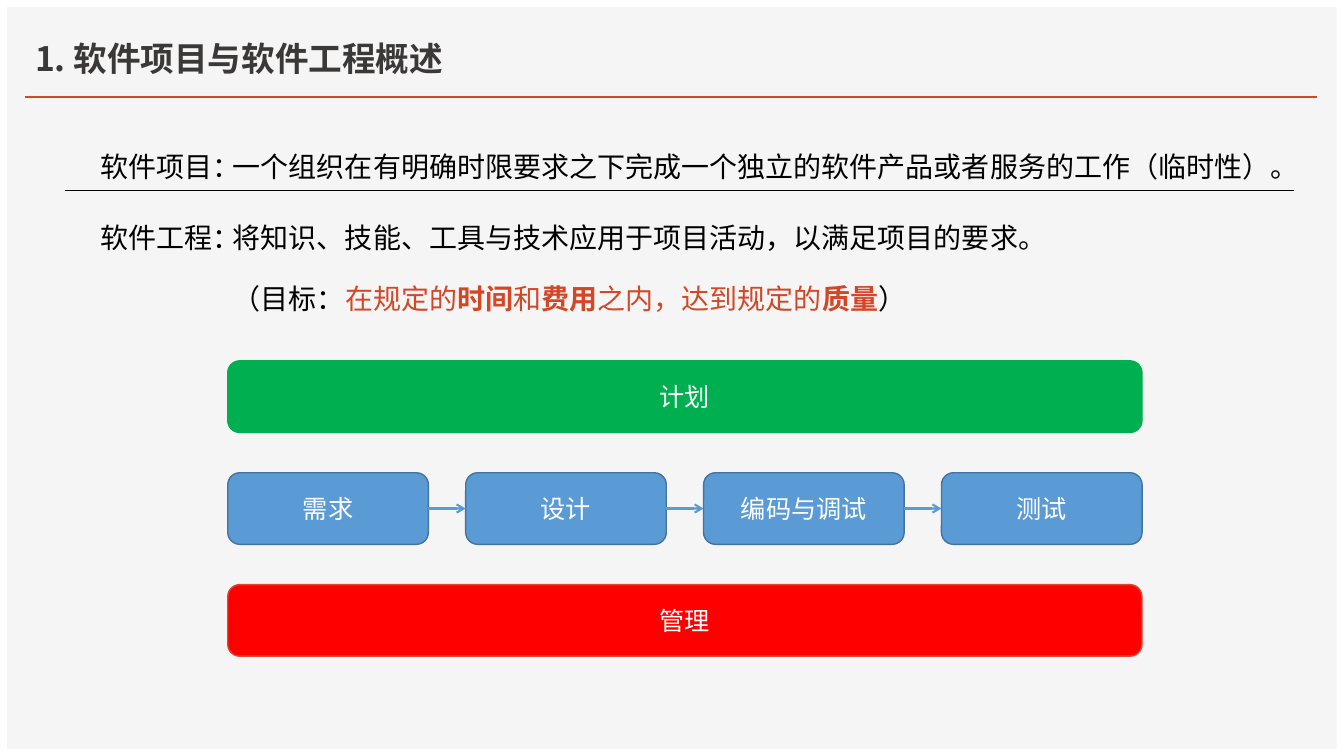
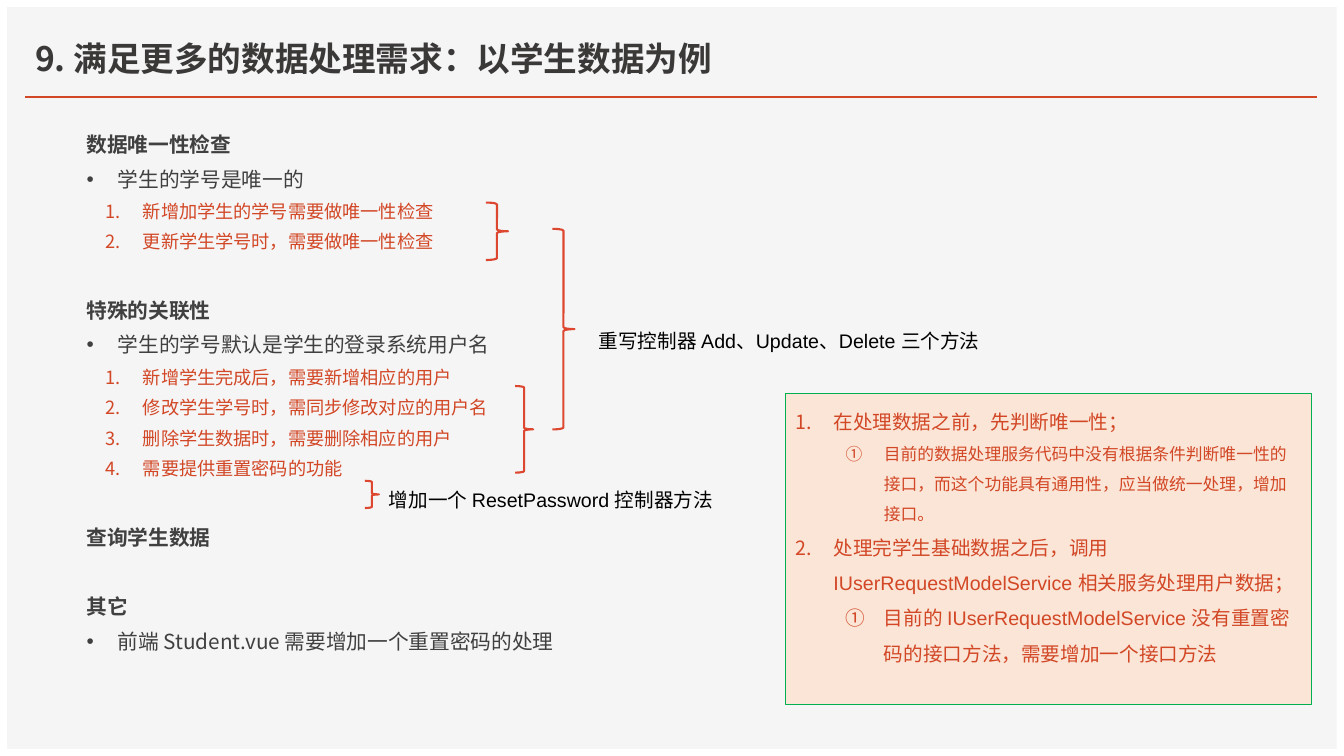
from dataclasses import dataclass

from lxml import etree
from pptx import Presentation
from pptx.dml.color import RGBColor
from pptx.enum.lang import MSO_LANGUAGE_ID
from pptx.enum.shapes import MSO_CONNECTOR, MSO_SHAPE
from pptx.enum.text import MSO_ANCHOR, PP_ALIGN
from pptx.oxml.ns import qn
from pptx.util import Inches, Pt

RECT = MSO_SHAPE.RECTANGLE
ROUNDED = MSO_SHAPE.ROUNDED_RECTANGLE
BRACE = MSO_SHAPE.RIGHT_BRACE
STRAIGHT = MSO_CONNECTOR.STRAIGHT
TOP, MIDDLE, BOTTOM = MSO_ANCHOR.TOP, MSO_ANCHOR.MIDDLE, MSO_ANCHOR.BOTTOM
LEFT, CENTER, RIGHT = PP_ALIGN.LEFT, PP_ALIGN.CENTER, PP_ALIGN.RIGHT
CHINESE = MSO_LANGUAGE_ID.SIMPLIFIED_CHINESE


@dataclass(frozen=True)
class Theme:
    panel: str = "F5F5F5"
    accent: str = "D24726"
    title: str = "3B3838"
    body: str = "404040"
    text: str = "000000"
    light: str = "FFFFFF"
    step: str = "5B9BD5"
    step_edge: str = "43739E"
    plan: str = "00B050"
    manage: str = "FF0000"
    brace: str = "DD462F"
    callout: str = "FBE5D6"
    cjk_font: str = "Noto Sans CJK SC"
    note_font: str = "Arial"
    step_font: str = "Roboto"
    title_size: float = 24
    table_size: float = 20
    step_size: float = 18
    body_size: float = 14.8
    item_size: float = 13
    note_size: float = 14
    detail_size: float = 12


THEME = Theme()

BODY = dict(size=THEME.body_size, color=THEME.body, font=THEME.cjk_font)
HEADING = BODY | dict(bold=True)
ITEM = BODY | dict(size=THEME.item_size, color=THEME.accent)
NOTE = dict(size=THEME.note_size, color=THEME.text, font=THEME.note_font)
POINT = NOTE | dict(color=THEME.accent)
DETAIL = POINT | dict(size=THEME.detail_size)
CELL = NOTE | dict(size=THEME.table_size)
STEP = dict(size=THEME.step_size, color=THEME.light, font=THEME.step_font)
TITLE = dict(size=THEME.title_size, color=THEME.title, font=THEME.cjk_font, bold=True)

DOT = ("buChar", {"char": "•"})
NUMBER = ("buAutoNum", {"type": "arabicPeriod"})
CIRCLE = ("buAutoNum", {"type": "circleNumDbPlain"})

HEADING_LAYOUT = dict(line_spacing=1.4)
NEXT_HEADING_LAYOUT = HEADING_LAYOUT | dict(space_before=Pt(25))
DOT_LAYOUT = HEADING_LAYOUT | dict(bullet=DOT, margin=0.31, hanging=0.31)
ITEM_LAYOUT = HEADING_LAYOUT | dict(level=1, bullet=NUMBER, margin=0.56, hanging=0.37)
NOTE_LAYOUT = dict(line_spacing=1.5)
POINT_LAYOUT = NOTE_LAYOUT | dict(bullet=NUMBER, margin=0.38, hanging=0.38)
DETAIL_LAYOUT = NOTE_LAYOUT | dict(level=1, bullet=CIRCLE, margin=0.88, hanging=0.38)


def set_values(target, values):
    for name, value in values.items():
        setattr(target, name, value)


def rgb(color):
    return RGBColor.from_string(color)


def add_span(para, text, size, color, font, bold=False):
    span = para.add_run()
    span.text = text
    set_values(span.font, dict(size=Pt(size), name=font, bold=bold, language_id=CHINESE))
    span.font.color.rgb = rgb(color)
    properties = span.font._element
    etree.SubElement(properties, qn("a:ea"), typeface=THEME.cjk_font)


def set_bullet(para, bullet, margin, hanging):
    properties = para._p.get_or_add_pPr()
    properties.set("marL", str(Inches(margin)))
    properties.set("indent", str(-Inches(hanging)))
    etree.SubElement(properties, qn("a:buFont"), typeface=THEME.note_font)
    kind, values = bullet
    etree.SubElement(properties, qn(f"a:{kind}"), values)


def write(frame, paragraphs):
    for index, (spans, layout) in enumerate(paragraphs):
        para = frame.paragraphs[0] if index == 0 else frame.add_paragraph()
        plain = dict(alignment=LEFT) | layout
        bullet = plain.pop("bullet", None)
        margin, hanging = plain.pop("margin", 0), plain.pop("hanging", 0)
        set_values(para, plain)
        if bullet:
            set_bullet(para, bullet, margin, hanging)
        for text, style in spans:
            add_span(para, text, **style)


def single(text, style, **layout):
    return [(text, style)], layout


def add_text(slide, at, paragraphs, anchor=TOP):
    box = slide.shapes.add_textbox(*map(Inches, at))
    set_values(box.text_frame, dict(word_wrap=True, vertical_anchor=anchor))
    write(box.text_frame, paragraphs)


def add_box(slide, kind, at, fill=None, edge=None, width=1, paragraphs=(), anchor=MIDDLE):
    box = slide.shapes.add_shape(kind, *map(Inches, at))
    box.shadow.inherit = False
    if fill:
        box.fill.solid()
        box.fill.fore_color.rgb = rgb(fill)
    else:
        box.fill.background()
    if edge:
        box.line.color.rgb = rgb(edge)
        box.line.width = Pt(width)
    else:
        box.line.fill.background()
    set_values(box.text_frame, dict(word_wrap=True, vertical_anchor=anchor))
    write(box.text_frame, paragraphs)
    return box


def add_line(slide, start, end, color, width):
    line = slide.shapes.add_connector(STRAIGHT, *map(Inches, start + end))
    line.line.color.rgb = rgb(color)
    line.line.width = Pt(width)
    etree.SubElement(line._element.spPr, qn("a:effectLst"))
    return line


def add_arrow(slide, source, target):
    arrow = add_line(slide, (0, 0), (0, 0), THEME.step, 1.5)
    arrow.begin_connect(source, 3)
    arrow.end_connect(target, 1)
    etree.SubElement(arrow.line._get_or_add_ln(), qn("a:tailEnd"), type="arrow")


def set_borders(cell, visible):
    properties = cell._tc.get_or_add_tcPr()
    for side in ("lnL", "lnR", "lnT", "lnB"):
        border = etree.SubElement(properties, qn(f"a:{side}"), w=str(Pt(1)))
        if side == visible:
            fill = etree.SubElement(border, qn("a:solidFill"))
            etree.SubElement(fill, qn("a:srgbClr"), val=THEME.text)
        else:
            etree.SubElement(border, qn("a:noFill"))


def add_definitions(slide, at, widths, heights, rows):
    table = slide.shapes.add_table(len(rows), len(widths), *map(Inches, at)).table
    set_values(table, dict(first_row=False, horz_banding=False))
    for column, width in zip(table.columns, widths):
        column.width = Inches(width)
    for row, height, contents, border in zip(table.rows, heights, rows, ("lnB", "lnT")):
        row.height = Inches(height)
        for cell, paragraphs in zip(row.cells, contents):
            set_borders(cell, border)
            cell.fill.background()
            write(cell.text_frame, paragraphs)


def add_page(deck, title):
    page = deck.slides.add_slide(deck.slide_layouts[6])
    add_box(page, RECT, (0.07, 0.07, 13.19, 7.36), THEME.panel)
    add_line(page, (0.25, 0.96), (13.07, 0.96), THEME.accent, 1.5)
    add_text(page, (0.25, 0.13, 12.75, 0.7), [single(title, TITLE)], BOTTOM)
    return page


def add_process(page):
    left, top, width, height = 2.26, 3.58, 9.07, 0.71
    row_pitch, step_width = 1.11, 1.99
    names = ("需求", "设计", "编码与调试", "测试")
    step_pitch = (width - step_width) / (len(names) - 1)

    def add_step(name, x, row, box_width, fill, edge):
        label = single(name, STEP, alignment=CENTER)
        at = (x, top + row * row_pitch, box_width, height)
        return add_box(page, ROUNDED, at, fill, edge, paragraphs=[label])

    add_step("计划", left, 0, width, THEME.plan, THEME.plan)
    steps = [
        add_step(name, left + index * step_pitch, 1, step_width, THEME.step, THEME.step_edge)
        for index, name in enumerate(names)
    ]
    for source, target in zip(steps, steps[1:]):
        add_arrow(page, source, target)
    add_step("管理", left, 2, width, THEME.manage, THEME.brace)


def build_overview(deck):
    page = add_page(deck, "1. 软件项目与软件工程概述")
    goal = CELL | dict(color=THEME.accent)
    key = goal | dict(bold=True)
    goal_spans = [
        ("（目标：", CELL),
        ("在规定的", goal),
        ("时间", key),
        ("和", goal),
        ("费用", key),
        ("之内，达到规定的", goal),
        ("质量", key),
        ("）", CELL),
    ]
    spacing = dict(line_spacing=1.5)
    label = spacing | dict(alignment=RIGHT)
    project = "一个组织在有明确时限要求之下完成一个独立的软件产品或者服务的工作（临时性）。"
    engineering = "将知识、技能、工具与技术应用于项目活动，以满足项目的要求。"
    rows = [
        ([single("软件项目：", CELL, **label)], [single(project, CELL, **spacing)]),
        (
            [single("软件工程：", CELL, **label)],
            [single(engineering, CELL, **spacing), (goal_spans, spacing)],
        ),
    ]
    add_definitions(page, (0.64, 1.19, 12.2, 2.01), (1.57, 10.63), (0.7, 1.31), rows)
    add_process(page)


def build_requirements(deck):
    page = add_page(deck, "9. 满足更多的数据处理需求：以学生数据为例")
    groups = [
        ("数据唯一性检查", "学生的学号是唯一的",
         ("新增加学生的学号需要做唯一性检查", "更新学生学号时，需要做唯一性检查")),
        ("特殊的关联性", "学生的学号默认是学生的登录系统用户名",
         ("新增学生完成后，需要新增相应的用户", "修改学生学号时，需同步修改对应的用户名",
          "删除学生数据时，需要删除相应的用户", "需要提供重置密码的功能")),
        ("查询学生数据", None, ()),
        ("其它", "前端 Student.vue 需要增加一个重置密码的处理", ()),
    ]
    outline = []
    for heading, point, items in groups:
        layout = NEXT_HEADING_LAYOUT if outline else HEADING_LAYOUT
        outline.append(single(heading, HEADING, **layout))
        if point:
            outline.append(single(point, BODY, **DOT_LAYOUT))
        outline += [single(item, ITEM, **ITEM_LAYOUT) for item in items]
    add_text(page, (0.76, 1.16, 5.18, 6.03), outline)

    braces = [
        (4.82, 2.01, 0.22, 0.57),
        (5.11, 3.83, 0.18, 0.86),
        (3.62, 4.77, 0.14, 0.27),
        (5.48, 2.27, 0.22, 1.99),
    ]
    for at in braces:
        add_box(page, BRACE, at, edge=THEME.brace, width=1.5)

    notes = [
        ((5.84, 3.1, 4.03, 0.41), "重写控制器 Add、Update、Delete 三个方法"),
        ((3.76, 4.67, 4.66, 0.41), "增加一个 ResetPassword 控制器方法"),
    ]
    for at, text in notes:
        add_text(page, at, [single(text, NOTE, **NOTE_LAYOUT)])

    service = "处理完学生基础数据之后，调用 IUserRequestModelService 相关服务处理用户数据；"
    uniqueness = "目前的数据处理服务代码中没有根据条件判断唯一性的接口，而这个功能具有通用性，应当做统一处理，增加接口。"
    reset = "目前的 IUserRequestModelService 没有重置密码的接口方法，需要增加一个接口方法"
    plan = [
        single("在处理数据之前，先判断唯一性；", POINT, **POINT_LAYOUT),
        single(uniqueness, DETAIL, **DETAIL_LAYOUT),
        single(service, POINT, **POINT_LAYOUT),
        single(reset, POINT, **DETAIL_LAYOUT),
    ]
    add_box(page, RECT, (7.79, 3.9, 5.22, 3.09), THEME.callout, THEME.plan, 0.75, plan, TOP)


def main():
    deck = Presentation()
    set_values(deck, dict(slide_width=Inches(40 / 3), slide_height=Inches(7.5)))
    build_overview(deck)
    build_requirements(deck)
    deck.save("out.pptx")


if __name__ == "__main__":
    main()
